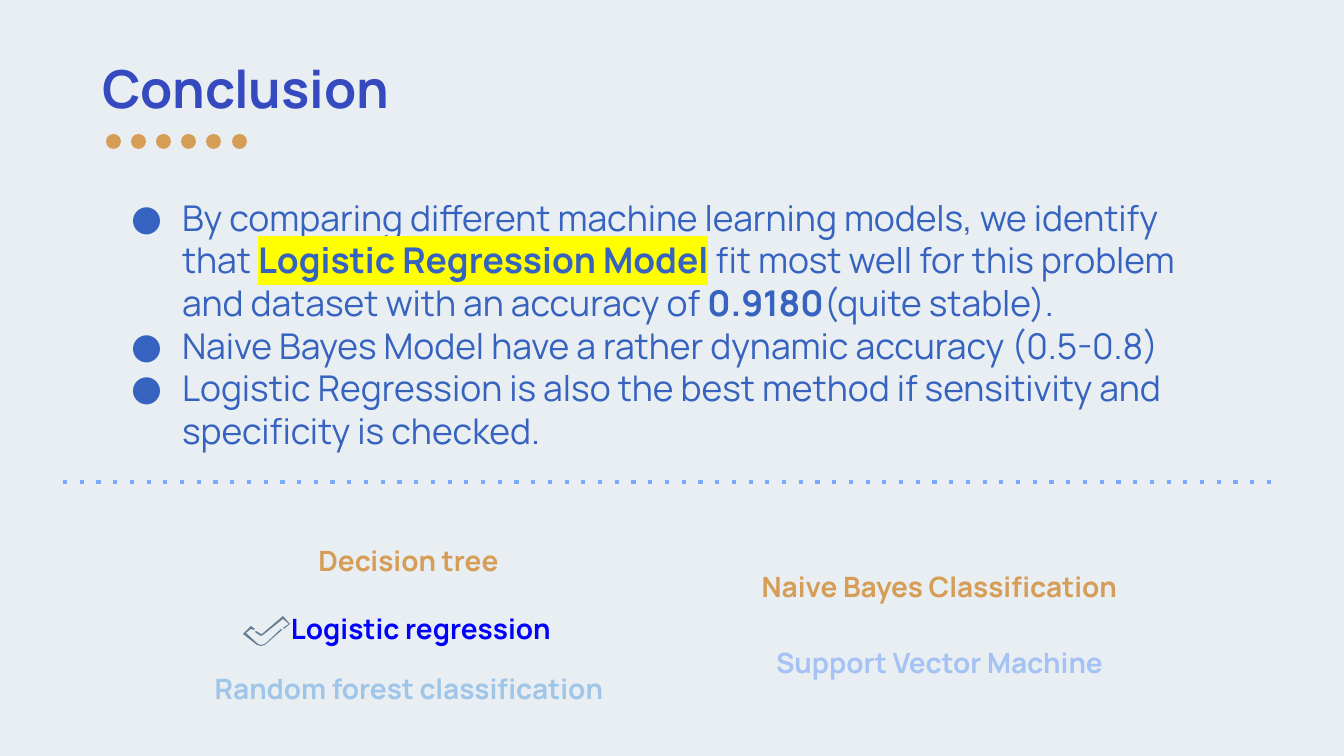
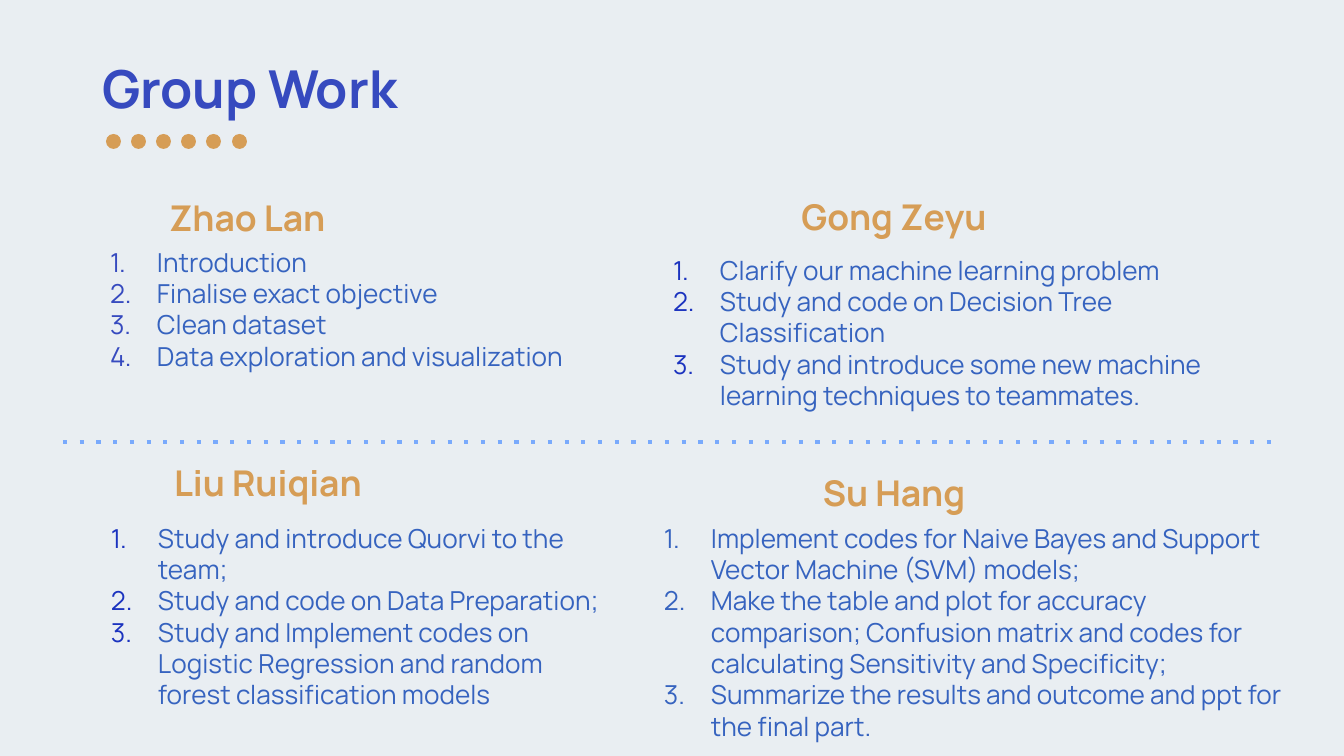
from dataclasses import dataclass

from pptx import Presentation
from pptx.dml.color import RGBColor
from pptx.enum.shapes import MSO_CONNECTOR, MSO_SHAPE
from pptx.enum.text import MSO_ANCHOR, MSO_AUTO_SIZE, PP_ALIGN
from pptx.oxml.ns import qn
from pptx.oxml.xmlchemy import OxmlElement
from pptx.util import Pt

LEFT, CENTER = PP_ALIGN.LEFT, PP_ALIGN.CENTER
TOP = MSO_ANCHOR.TOP
NO_FIT = MSO_AUTO_SIZE.NONE
OVAL = MSO_SHAPE.OVAL
STRAIGHT = MSO_CONNECTOR.STRAIGHT
SCALE = 9144000 / 1344


@dataclass(frozen=True)
class Theme:
    """Colours, font and type sizes of the deck."""
    font: str = "Manrope"
    back: str = "E9EEF2"
    title: str = "364ABF"
    body: str = "3663BF"
    number: str = "1B33BF"
    gold: str = "D69D56"
    rule: str = "79AAFC"
    tick: str = "657E93"
    pick: str = "0000FF"
    sky: str = "9FC5E8"
    lilac: str = "A4C2F4"
    mark: str = "FFFF00"
    head: int = 28
    lead: int = 19
    label: int = 15
    item: int = 14


THEME = Theme()

FINDINGS = [
    [("By comparing different machine learning models, we identify that ", ""),
     ("Logistic Regression Model", "mark"),
     (" fit most well for this problem and dataset with an accuracy of ", ""),
     ("0.9180", "bold"),
     ("(quite stable).", "")],
    "Naive Bayes Model have a rather dynamic accuracy (0.5-0.8)",
    "Logistic Regression is also the best method if sensitivity and specificity is checked.",
]

MODELS = [
    ("Decision tree", (290, 531, 237, 39), THEME.gold),
    ("Logistic regression", (205, 599, 432, 39), THEME.pick),
    ("Random forest classification", (177, 659, 464, 39), THEME.sky),
    ("Naive Bayes Classification", (713, 556, 453, 39), THEME.gold),
    ("Support Vector Machine", (732, 633, 415, 39), THEME.lilac),
]

MEMBERS = [
    ("Zhao Lan", (156, 183, 224, 51), LEFT, (77, 233, 578, 148), THEME.title,
     ["Introduction", "Finalise exact objective", "Clean dataset",
      "Data exploration and visualization"]),
    ("Gong Zeyu", (782, 182, 224, 52), CENTER, (640, 241, 626, 180), THEME.number,
     ["Clarify our machine learning problem",
      "Study and code on Decision Tree Classification",
      "Study and introduce some new machine learning techniques to teammates."]),
    ("Liu Ruiqian", (156, 448, 224, 51), CENTER, (78, 509, 552, 181), THEME.number,
     ["Study and introduce Quorvi to the team;",
      "Study and code on Data Preparation;",
      "Study and Implement codes on Logistic Regression and random forest "
      "classification models"]),
    ("Su Hang", (782, 458, 224, 51), CENTER, (631, 509, 668, 95), THEME.body,
     ["Implement codes for Naive Bayes and Support Vector Machine (SVM) models;",
      "Make the table and plot for accuracy comparison; Confusion matrix and codes "
      "for calculating Sensitivity and Specificity;",
      "Summarize the results and outcome and ppt for the final part."]),
]

TICK = [
    [(251, 626), (243, 634), (257, 645), (261, 646), (265, 645), (282, 630),
     (281, 629), (265, 644), (261, 645), (258, 644), (246, 633), (251, 629),
     (254, 630), (255, 629)],
    [(283, 616), (282, 617), (262, 634), (261, 634), (256, 631), (255, 632),
     (259, 635), (261, 636), (263, 635), (283, 619), (289, 624), (283, 628),
     (284, 629), (290, 624)],
]


def px(num):
    """Turn pixels into EMU."""
    return round(num * SCALE)


def rgb(code):
    """Turn a hex code into a colour."""
    return RGBColor.from_string(code)


def node(tag, **attrs):
    """Make an XML element with attributes."""
    item = OxmlElement(tag)
    for key, val in attrs.items():
        item.set(key, val)
    return item


def bullet(para, kind, color, hang):
    """Give a paragraph a dot, a number or no bullet."""
    props = para._p.get_or_add_pPr()
    props.set("marL", str(px(67) if kind else 0))
    props.set("indent", str(-px(hang) if kind else 0))
    if not kind:
        props.append(node("a:buNone"))
        return
    tint = node("a:buClr")
    tint.append(node("a:srgbClr", val=color))
    props.append(tint)
    props.append(node("a:buFont", typeface=THEME.font))
    if kind == "dot":
        props.append(node("a:buChar", char="●"))
    else:
        props.append(node("a:buAutoNum", type="arabicPeriod"))


def style(run, size, color, bold, mark):
    """Format one run."""
    font = run.font
    font.name, font.size, font.bold = THEME.font, Pt(size), bold
    font.color.rgb = rgb(color)
    if mark:
        light = node("a:highlight")
        light.append(node("a:srgbClr", val=THEME.mark))
        run._r.get_or_add_rPr().find(qn("a:solidFill")).addnext(light)


def write(slide, paras, box, holder=None, size=THEME.item, color=THEME.body,
          bold=False, align=LEFT, kind=None, tint=THEME.body, hang=47):
    """Put paragraphs into a placeholder or a new text box."""
    spots = [px(num) for num in box]
    shape = holder if holder is not None else slide.shapes.add_textbox(*spots)
    shape.left, shape.top, shape.width, shape.height = spots
    frame = shape.text_frame
    frame.word_wrap, frame.auto_size = True, NO_FIT
    frame.vertical_anchor = TOP
    frame.margin_left = frame.margin_right = px(13)
    frame.margin_top = frame.margin_bottom = px(13)
    for num, text in enumerate(paras):
        para = frame.paragraphs[0] if num == 0 else frame.add_paragraph()
        bullet(para, kind, tint, hang)
        para.alignment = align
        para.space_before = Pt(0)
        for words, look in [(text, "")] if isinstance(text, str) else text:
            run = para.add_run()
            run.text = words
            style(run, size, color, bold or look != "", look == "mark")


def paint(shape, color):
    """Fill a shape plainly, with no line or shadow."""
    shape.fill.solid()
    shape.fill.fore_color.rgb = rgb(color)
    shape.line.fill.background()
    shape.shadow.inherit = False


def dots(slide):
    """Draw the row of dots below the title."""
    group = slide.shapes.add_group_shape()
    for num in range(6):
        left = 106 + num * 126 // 5
        paint(group.shapes.add_shape(OVAL, px(left), px(134), px(15), px(15)), THEME.gold)


def rule(slide, top):
    """Draw the dotted line across the slide."""
    line = slide.shapes.add_connector(STRAIGHT, px(63), px(top), px(1281), px(top))
    line.line.color.rgb = rgb(THEME.rule)
    line.line.width = Pt(2.25)
    props = line._element.spPr
    props.find(qn("a:ln")).append(node("a:prstDash", val="dot"))
    props.append(node("a:effectLst"))


def tick(slide):
    """Draw the two parts of the check mark."""
    group = slide.shapes.add_group_shape()
    for first, *rest in TICK:
        pen = group.shapes.build_freeform(*first, scale=SCALE)
        pen.add_line_segments(rest, close=True)
        paint(pen.convert_to_shape(), THEME.tick)


def start(deck, layout, title, top):
    """Add a slide with its title, dots and rule."""
    slide = deck.slides.add_slide(deck.slide_layouts[layout])
    write(slide, [title], (89, 43, 1150, 85), slide.shapes.title,
          size=THEME.head, color=THEME.title, bold=True)
    rule(slide, top)
    dots(slide)
    return slide


def close(deck):
    """Build the conclusion slide."""
    slide = start(deck, 1, "Conclusion", 482)
    write(slide, FINDINGS, (102, 183, 1138, 95), slide.placeholders[1],
          size=THEME.lead, kind="dot", hang=51)
    for name, box, color in MODELS:
        write(slide, [name], box, size=THEME.label, color=color, bold=True, align=CENTER)
    tick(slide)


def team(deck):
    """Build the group work slide."""
    slide = start(deck, 4, "Group Work", 442)
    spare = [slide.placeholders[num] for num in range(1, 5)] + [None] * 4
    for num, (name, spot, align, box, tint, tasks) in enumerate(MEMBERS):
        write(slide, [name], spot, spare[2 * num], size=THEME.lead,
              color=THEME.gold, bold=True, align=align)
        write(slide, tasks, box, spare[2 * num + 1], kind="number", tint=tint)


def main():
    """Build and save the deck."""
    deck = Presentation()
    deck.slide_width, deck.slide_height = px(1344), px(756)
    fill = deck.slide_master.background.fill
    fill.solid()
    fill.fore_color.rgb = rgb(THEME.back)
    close(deck)
    team(deck)
    deck.save("out.pptx")


if __name__ == "__main__":
    main()
